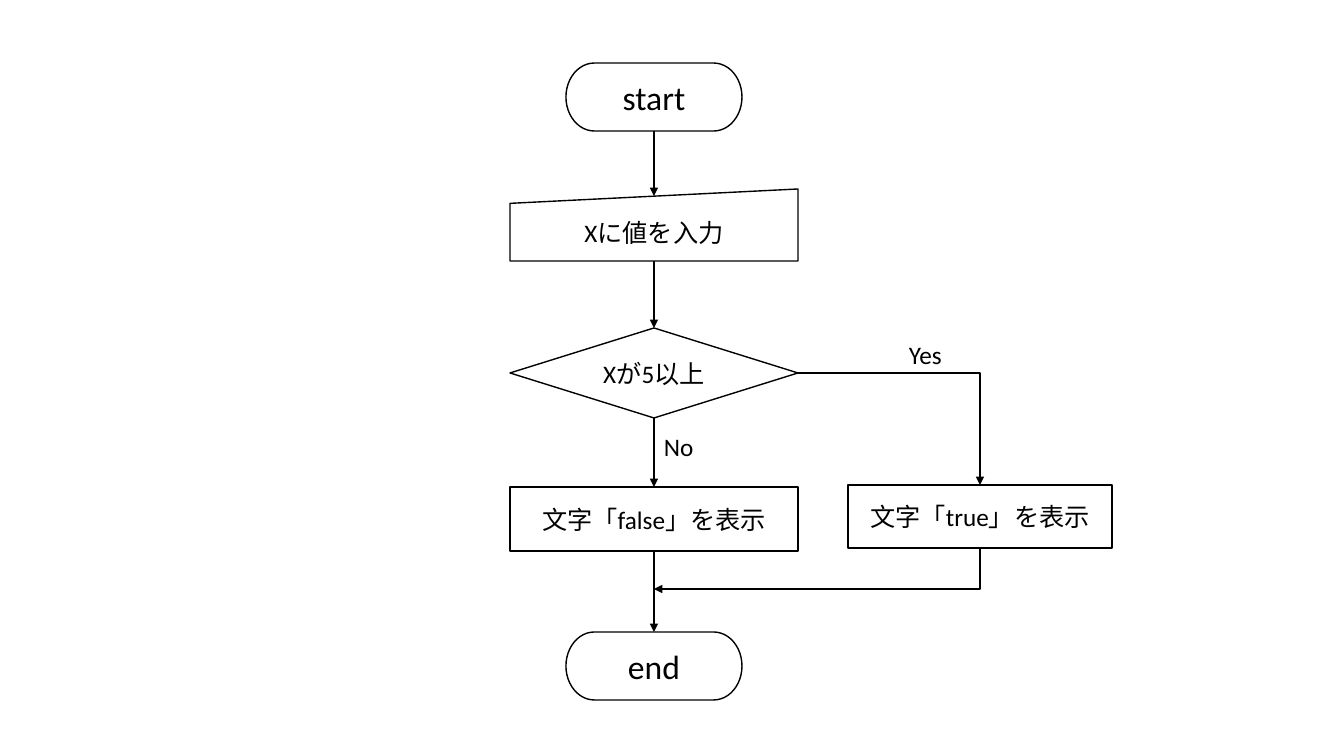
"""Builds a one-slide flowchart that branches on whether X is at least 5."""
from pptx import Presentation, util as u
from pptx.dml import color
from pptx.enum import shapes, text
from pptx.oxml import ns, xmlchemy

SCALE = 914400 / 100.8
FONT = "Calibri"
HUES = {"ink": "000000", "paper": "FFFFFF"}
KIND = shapes.MSO_SHAPE
MID, SIDE = 654, 980


def px(n):
    return u.Emu(round(n * SCALE))


def hue(name):
    return color.RGBColor.from_string(HUES[name])


def write(frame, words, size, align):
    para = frame.paragraphs[0]
    para.alignment = align
    run = para.add_run()
    run.text = words
    run.font.size = u.Pt(size)
    run.font.name = FONT
    run.font.color.rgb = hue("ink")


def step(slide, kind, mid, top, wide, high, words, size=18):
    box = slide.shapes.add_shape(kind, px(mid - wide / 2), px(top), px(wide), px(high))
    box.shadow.inherit = False
    box.fill.solid()
    box.fill.fore_color.rgb = hue("paper")
    box.line.color.rgb = hue("ink")
    box.line.width = u.Pt(1)
    box.text_frame.vertical_anchor = text.MSO_ANCHOR.MIDDLE
    write(box.text_frame, words, size, text.PP_ALIGN.CENTER)


def label(slide, left, top, wide, words):
    box = slide.shapes.add_textbox(px(left), px(top), px(wide), px(40))
    box.text_frame.word_wrap = True
    box.text_frame.auto_size = text.MSO_AUTO_SIZE.SHAPE_TO_FIT_TEXT
    write(box.text_frame, words, 18, text.PP_ALIGN.LEFT)


def arrow(slide, start, end, width=1, kind=shapes.MSO_CONNECTOR.STRAIGHT):
    line = slide.shapes.add_connector(kind, *map(px, start + end))
    line.line.color.rgb = hue("ink")
    line.line.width = u.Pt(width)
    tip = xmlchemy.OxmlElement("a:tailEnd")
    tip.set("type", "triangle")
    line.line._get_or_add_ln().append(tip)
    line._element.spPr.append(xmlchemy.OxmlElement("a:effectLst"))
    return line


def bend(slide, start, end, turned=False):
    """Draws a one-corner arrow; turned means it leaves downward and ends leftward."""
    if turned:
        (x1, y1), (x2, y2) = start, end
        midx, midy = (x1 + x2) / 2, (y1 + y2) / 2
        halfw, halfh = (y2 - y1) / 2, (x1 - x2) / 2
        start, end = (midx - halfw, midy - halfh), (midx + halfw, midy + halfh)
    line = arrow(slide, start, end, kind=shapes.MSO_CONNECTOR.ELBOW)
    props = line._element.spPr
    props.find(ns.qn("a:prstGeom")).set("prst", "bentConnector2")
    if turned:
        props.find(ns.qn("a:xfrm")).set("rot", str(90 * 60000))


def main():
    deck = Presentation()
    deck.slide_width, deck.slide_height = px(1344), px(756)
    slide = deck.slides.add_slide(deck.slide_layouts[6])

    for top, words in ((63, "start"), (632, "end")):
        step(slide, KIND.FLOWCHART_TERMINATOR, MID, top, 176, 68, words, 24)
    for kind, mid, top, wide, high, words in (
        (KIND.FLOWCHART_MANUAL_INPUT, MID, 189, 288, 72, "Xに値を入力"),
        (KIND.FLOWCHART_DECISION, MID, 328, 288, 90, "Xが5以上"),
        (KIND.RECTANGLE, MID, 487, 288, 64, "文字「false」を表示"),
        (KIND.FLOWCHART_PROCESS, SIDE, 485, 264, 63, "文字「true」を表示"),
    ):
        step(slide, kind, mid, top, wide, high, words)

    for top, low, width in ((131, 196, 1.5), (261, 328, 1), (418, 487, 1), (551, 632, 1)):
        arrow(slide, (MID, top), (MID, low), width)
    bend(slide, (MID + 144, 373), (SIDE, 485))
    bend(slide, (SIDE, 548), (MID, 589), turned=True)

    label(slide, 899, 334, 61, "Yes")
    label(slide, MID, 426, 101, "No")
    deck.save("out.pptx")


main()
